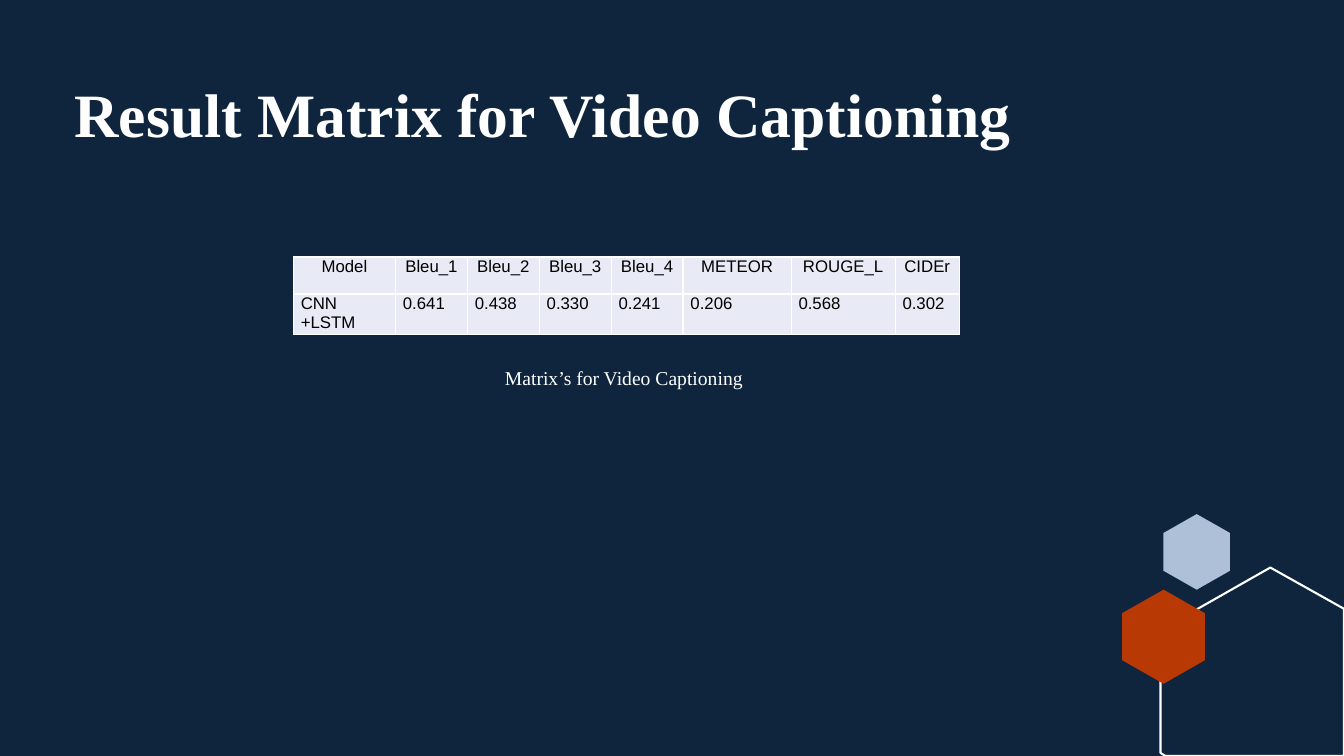
import pptx
import pptx.util
import pptx.dml.color
import pptx.enum.text
import pptx.oxml
import pptx.oxml.ns
import lxml.etree

Pt = pptx.util.Pt
RGBColor = pptx.dml.color.RGBColor
ALIGN = pptx.enum.text.PP_ALIGN

WIDTH = pptx.util.Inches(13.33)
HEIGHT = pptx.util.Inches(7.5)

NAVY = RGBColor(0x0F, 0x25, 0x3E)
WHITE = RGBColor(0xFF, 0xFF, 0xFF)
BLACK = RGBColor(0x00, 0x00, 0x00)
PALE_BLUE = RGBColor(0xAD, 0xC0, 0xD7)
RUST = RGBColor(0xB8, 0x39, 0x03)
CELL_FILL = RGBColor(0xE8, 0xEB, 0xF5)

SERIF = "Times New Roman"
SANS = "Arial"

HEXAGON = [(0.5, 0), (1, 0.25), (1, 0.75), (0.5, 1), (0, 0.75), (0, 0.25)]
HOUSE = [(94.52, 75.07), (100, 80.53), (100, 100),
         (86.72, 100), (86.35, 99.6), (86.35, 83.33)]

SCORES = [
    ["Model", "Bleu_1", "Bleu_2", "Bleu_3", "Bleu_4", "METEOR", "ROUGE_L", "CIDEr"],
    ["CNN +LSTM", "0.641", "0.438", "0.330", "0.241", "0.206", "0.568", "0.302"],
]
COLUMNS = [7.6] + [5.35] * 4 + [8.04, 7.74, 4.78]
ROWS = [4.9, 5.2]


def x(percent):
    return round(WIDTH * percent / 100)


def y(percent):
    return round(HEIGHT * percent / 100)


def set_font(p, name, size, color, bold=False):
    p.font.name = name
    p.font.size = Pt(size)
    p.font.color.rgb = color
    p.font.bold = bold


def add_text(s, text, left, top, width, height, size, bold=False, spacing=None):
    sp = s.shapes.add_textbox(x(left), y(top), x(width), y(height))
    tf = sp.text_frame
    tf.word_wrap = True
    p = tf.paragraphs[0]
    p.text = text
    p.line_spacing = spacing
    set_font(p, SERIF, size, WHITE, bold)


def add_polygon(s, points):
    corners = [(x(px), y(py)) for px, py in points]
    builder = s.shapes.build_freeform(*corners[0], scale=1.0)
    builder.add_line_segments(corners[1:], close=True)
    sp = builder.convert_to_shape()
    sp.shadow.inherit = False
    return sp


def add_hexagon(s, left, top, width, height, color):
    sp = add_polygon(s, [(left + width * u, top + height * v) for u, v in HEXAGON])
    sp.fill.solid()
    sp.fill.fore_color.rgb = color
    sp.line.fill.background()


def add_outline(s, points):
    sp = add_polygon(s, points)
    sp.fill.background()
    sp.line.color.rgb = WHITE
    sp.line.width = Pt(1.5)


def set_borders(cell, color, width):
    tc_pr = cell._tc.get_or_add_tcPr()
    for side in ("a:lnL", "a:lnR", "a:lnT", "a:lnB"):
        ln = lxml.etree.SubElement(tc_pr, pptx.oxml.ns.qn(side), w=str(Pt(width)))
        fill = lxml.etree.SubElement(ln, pptx.oxml.ns.qn("a:solidFill"))
        lxml.etree.SubElement(fill, pptx.oxml.ns.qn("a:srgbClr"), val=str(color))


def fill_cell(cell, text, align):
    set_borders(cell, WHITE, 1)
    cell.fill.solid()
    cell.fill.fore_color.rgb = CELL_FILL
    cell.margin_left = cell.margin_right = x(0.55)
    cell.margin_top = cell.margin_bottom = 0
    p = cell.text_frame.paragraphs[0]
    p.text = text
    p.alignment = align
    set_font(p, SANS, 12, BLACK)


def add_score_table(s, left, top):
    table = s.shapes.add_table(len(ROWS), len(COLUMNS), x(left), y(top),
                               x(sum(COLUMNS)), y(sum(ROWS))).table
    for column, width in zip(table.columns, COLUMNS):
        column.width = x(width)
    for row, height, texts, align in zip(table.rows, ROWS, SCORES,
                                         (ALIGN.CENTER, ALIGN.JUSTIFY)):
        row.height = y(height)
        for cell, text in zip(row.cells, texts):
            fill_cell(cell, text, align)


def main():
    prs = pptx.Presentation()
    prs.slide_width = WIDTH
    prs.slide_height = HEIGHT
    s = prs.slides.add_slide(prs.slide_layouts[6])
    s.background.fill.solid()
    s.background.fill.fore_color.rgb = NAVY

    add_hexagon(s, 86.57, 68, 4.95, 10, PALE_BLUE)
    add_outline(s, HOUSE)
    add_hexagon(s, 83.5, 78, 6.15, 12.45, RUST)
    add_text(s, "Result Matrix for Video Captioning", 4.8, 10.53, 89.35, 20.67,
             44, bold=True, spacing=0.9)
    add_score_table(s, 21.83, 34)
    add_text(s, "Matrix’s for Video Captioning", 36.83, 47.73, 19.95, 4.53, 14)
    prs.save("out.pptx")


if __name__ == "__main__":
    main()
